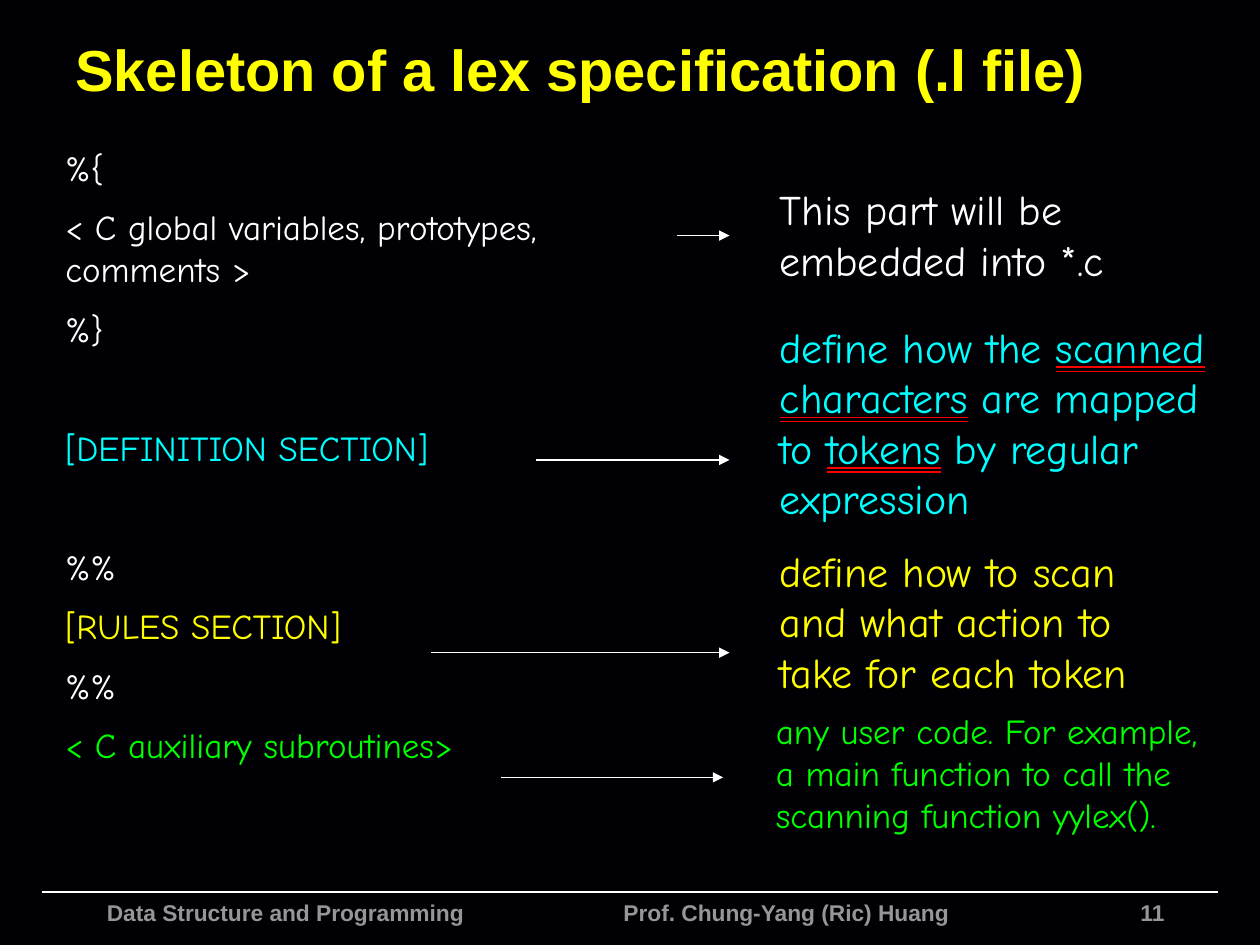
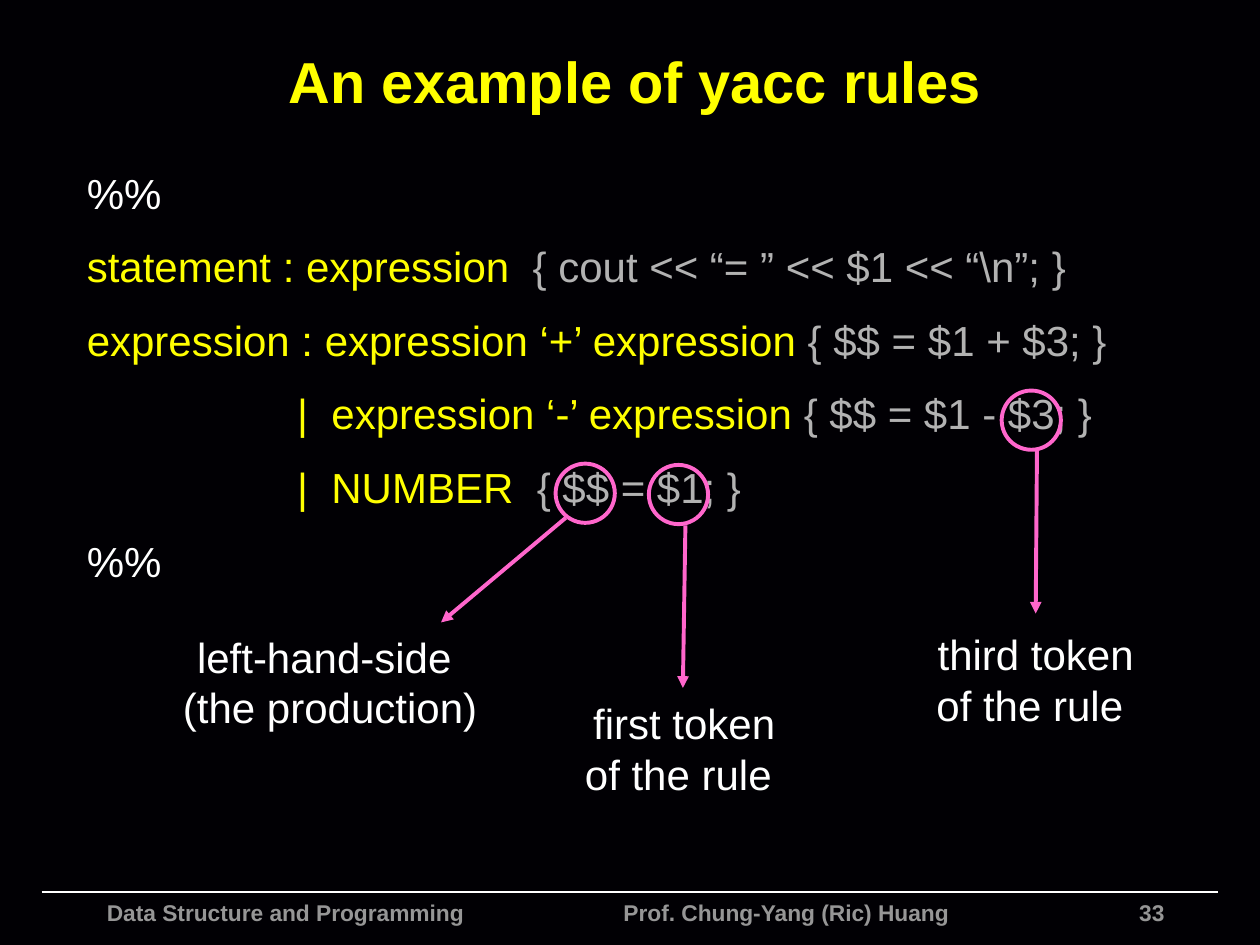
from lxml.etree import SubElement
from pptx import Presentation
from pptx.dml.color import RGBColor
from pptx.enum.shapes import MSO_CONNECTOR, MSO_SHAPE
from pptx.enum.text import MSO_ANCHOR, MSO_UNDERLINE, PP_ALIGN
from pptx.oxml import parse_xml
from pptx.oxml.ns import nsdecls, qn
from pptx.util import Inches, Pt

NIGHT = RGBColor(0x01, 0x00, 0x04)
WHITE = RGBColor(0xFF, 0xFF, 0xFF)
YELLOW = RGBColor(0xFF, 0xFF, 0x00)
CYAN = RGBColor(0x00, 0xFF, 0xFF)
GREEN = RGBColor(0x00, 0xFF, 0x00)
PINK = RGBColor(0xFF, 0x66, 0xCC)
SILVER = RGBColor(0xB2, 0xB2, 0xB2)
GREY = RGBColor(0x96, 0x96, 0x96)
RED = RGBColor(0xFF, 0x00, 0x00)

SANS = "Arial"
HAND = "Comic Neue"
COLUMNS, ROWS = 100, 75
CELL = Inches(0.1)


def grid(*counts):
    return [round(count * CELL) for count in counts]


def add_box(shapes, place, side_inset=1, anchor=MSO_ANCHOR.TOP):
    box = shapes.add_textbox(*grid(*place))
    frame = box.text_frame
    frame.word_wrap = True
    frame.vertical_anchor = anchor
    frame.margin_left, frame.margin_right = grid(side_inset, side_inset)
    frame.margin_top, frame.margin_bottom = grid(0.5, 0.5)
    return frame


def style(para, size, name, color=None, bold=False, align=PP_ALIGN.LEFT):
    para.alignment = align
    para.font.size = Pt(size)
    para.font.name = name
    para.font.bold = bold
    if color is not None:
        para.font.color.rgb = color


def add_lines(frame, lines, size, name, color=None, **look):
    paras = []
    for number, line in enumerate(lines):
        para = frame.paragraphs[0] if number == 0 else frame.add_paragraph()
        style(para, size, name, color, **look)
        para.add_run().text = line
        paras.append(para)
    return paras


def add_spans(para, spans):
    for text, color in spans:
        span = para.add_run()
        span.text = text
        span.font.color.rgb = color


def underline(span, color):
    span.font.underline = MSO_UNDERLINE.DOUBLE_LINE
    fill = parse_xml(
        f'<a:uFill {nsdecls("a")}><a:solidFill><a:srgbClr val="{color}"/>'
        "</a:solidFill></a:uFill>")
    span.font._element.find(qn("a:solidFill")).addnext(fill)


def add_line(shapes, start, end, color, width, arrow=True):
    line = shapes.add_connector(MSO_CONNECTOR.STRAIGHT, *grid(*start, *end))
    line.line.color.rgb = color
    line.line.width = Pt(width)
    if arrow:
        SubElement(line.line._get_or_add_ln(), qn("a:tailEnd"), type="triangle")
    SubElement(line._element.spPr, qn("a:effectLst"))


def add_page(deck, title, title_place, number):
    page = deck.slides.add_slide(deck.slide_layouts[6])
    page.background.fill.solid()
    page.background.fill.fore_color.rgb = NIGHT
    base = 70.8
    add_line(page.shapes, (3.3, base), (COLUMNS - 3.3, base), WHITE, 1, arrow=False)
    footers = [
        ("Data Structure and Programming", 7.5, 36, PP_ALIGN.LEFT),
        ("Prof. Chung-Yang (Ric) Huang", 48.5, 32, PP_ALIGN.LEFT),
        (number, 83.4, 10, PP_ALIGN.RIGHT),
    ]
    for text, left, width, align in footers:
        frame = add_box(page.shapes, (left, base, width, ROWS - base))
        add_lines(frame, [text], 13, SANS, GREY, bold=True, align=align)
    frame = add_box(page.shapes, title_place, anchor=MSO_ANCHOR.MIDDLE)
    add_lines(frame, [title], 33, SANS, YELLOW, bold=True)
    return page


def add_skeleton(page):
    near, far = 10, 44
    parts = [
        ("%{", WHITE, near),
        ("< C global variables, prototypes, comments >", WHITE, near),
        ("%}", WHITE, near),
        ("[DEFINITION SECTION]", CYAN, far),
        ("%%", WHITE, far),
        ("[RULES SECTION]", YELLOW, near),
        ("%%", WHITE, near),
        ("< C auxiliary subroutines>", GREEN, near),
    ]
    frame = add_box(page.shapes, (4.2, 11.1, 52.5, 52.7))
    paras = add_lines(frame, [text for text, _, _ in parts], 20, HAND)
    for para, (_, color, gap) in zip(paras, parts):
        para.font.color.rgb = color
        para.space_before = Pt(gap)


def add_remarks(page):
    remarks = [
        ("This part will be embedded into *.c", WHITE, 24, (60.9, 14.1, 31.7, 9)),
        ("define how to scan and what action to take for each token",
         YELLOW, 24, (60.9, 42.8, 33.3, 13)),
        ("any user code. For example, a main function to call the "
         "scanning function yylex().", GREEN, 20, (60.6, 55.8, 37.7, 11)),
    ]
    for text, color, size, place in remarks:
        add_lines(add_box(page.shapes, place), [text], size, HAND, color)

    para = add_box(page.shapes, (60.9, 25, 37.5, 17.2)).paragraphs[0]
    style(para, 24, HAND)
    words = ["define how the ", "scanned characters", " are mapped to ",
             "tokens", " by regular expression"]
    add_spans(para, [(word, CYAN) for word in words])
    for span in para.runs[1::2]:
        underline(span, RED)

    for left, right, row in [(53.7, 57.9, 18.7), (42.5, 57.9, 36.5),
                             (34.2, 57.9, 51.8), (39.8, 57.4, 61.7)]:
        add_line(page.shapes, (left, row), (right, row), WHITE, 0.75)


def add_rules(page):
    rules = [
        (0, [("%%", WHITE)]),
        (0, [("statement : expression  ", YELLOW),
             ("{ cout << “= ” << $1 << “\\n”; }", SILVER)]),
        (0, [("expression : expression ‘+’ expression ", YELLOW),
             ("{ $$ = $1 + $3; }", SILVER)]),
        (16.7, [("|  expression ‘-’ expression ", YELLOW),
                ("{ $$ = $1 - $3; }", SILVER)]),
        (16.7, [("|  NUMBER  ", YELLOW), ("{ $$ = $1; }", SILVER)]),
        (0, [("%%", WHITE)]),
    ]
    frame = add_box(page.shapes, (5.9, 12.8, 84.2, 35.3))
    for number, (indent, spans) in enumerate(rules):
        para = frame.paragraphs[0] if number == 0 else frame.add_paragraph()
        style(para, 24, SANS)
        para.space_before = Pt(13.2)
        para._p.get_or_add_pPr().set("marL", str(grid(indent)[0]))
        add_spans(para, spans)


def add_callout(page, ring, start, end, label, place):
    group = page.shapes.add_group_shape()
    circle = group.shapes.add_shape(MSO_SHAPE.OVAL, *grid(*ring, 4.7, 4.7))
    circle.shadow.inherit = False
    circle.fill.background()
    circle.line.color.rgb = PINK
    circle.line.width = Pt(2.25)
    add_line(group.shapes, start, end, PINK, 2.25)
    frame = add_box(page.shapes, place, side_inset=0.5)
    add_lines(frame, label, 24, SANS, WHITE, align=PP_ALIGN.CENTER)


def main():
    deck = Presentation()
    deck.slide_width, deck.slide_height = grid(COLUMNS, ROWS)

    page = add_page(deck, "Skeleton of a lex specification (.l file)",
                    (5, 1.7, 90, 7.5), "11")
    add_skeleton(page)
    add_remarks(page)

    page = add_page(deck, "An example of yacc rules", (21.9, 2.1, 64.9, 8.6), "33")
    add_rules(page)
    add_callout(page, (44.1, 36.8), (44.9, 41.1), (35, 49.4),
                ["left-hand-side ", "(the production)"], (14, 49.6, 24.4, 9))
    add_callout(page, (51.5, 36.9), (54.4, 41.7), (54.2, 54.6),
                ["first token of the rule "], (45.7, 54.9, 17.2, 9))
    add_callout(page, (79.5, 31), (82.3, 35.8), (82.2, 48.7),
                ["third token of the rule "], (73.6, 49.4, 17.2, 9))
    deck.save("out.pptx")


main()
